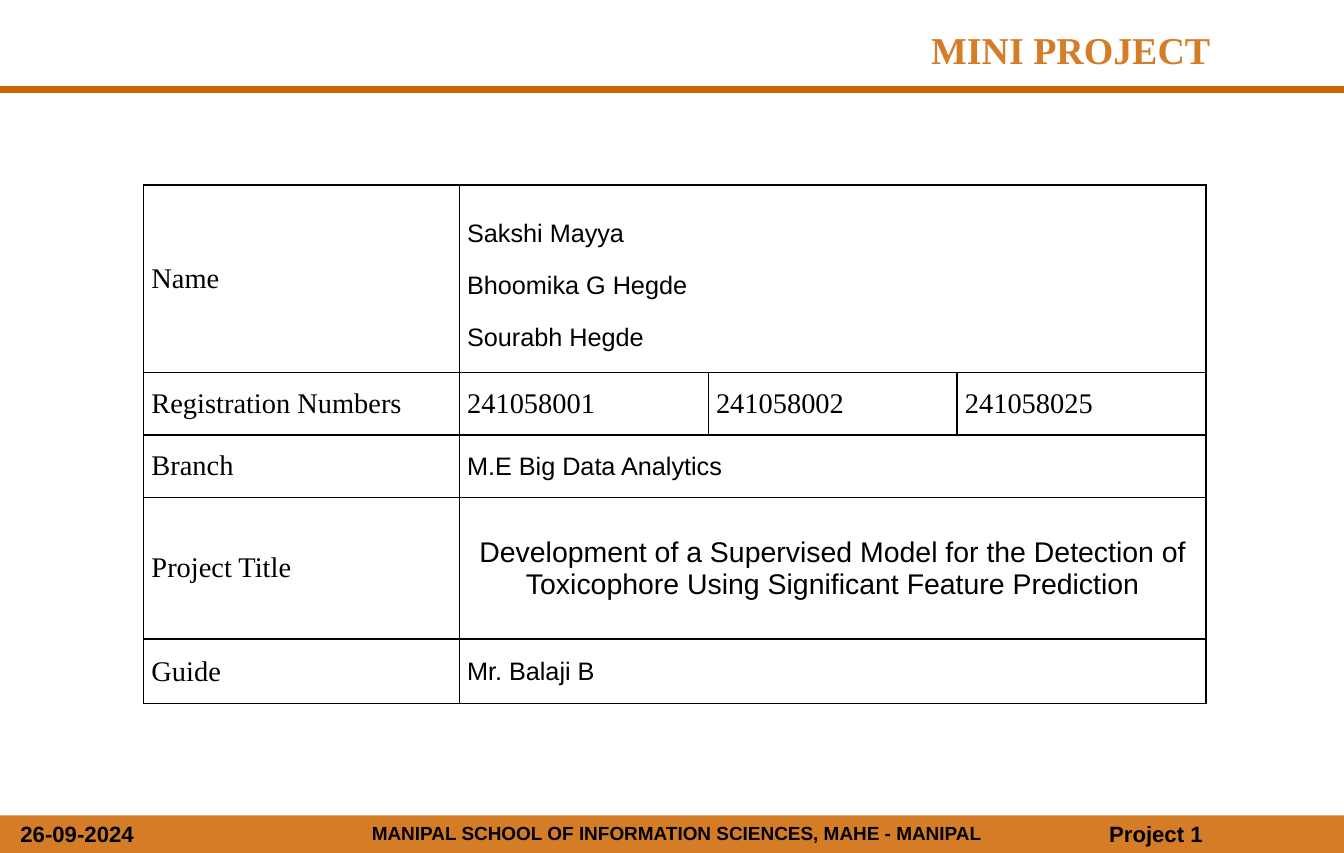
from lxml import etree
from pptx import Presentation
from pptx.dml.color import RGBColor
from pptx.enum.shapes import MSO_CONNECTOR, MSO_SHAPE
from pptx.enum.text import MSO_ANCHOR, MSO_AUTO_SIZE, PP_ALIGN
from pptx.oxml.ns import qn
from pptx.util import Pt

PX = 5715  # EMU, 160 px to the inch
PAGE_WIDTH, PAGE_HEIGHT = 1890, 1200
TITLE_ONLY = 5

BLACK = RGBColor(0x00, 0x00, 0x00)
RULE_ORANGE = RGBColor(0xCC, 0x66, 0x00)
BAND_ORANGE = RGBColor(0xD4, 0x7D, 0x26)
SANS, SERIF = "Arial", "Times New Roman"

LEFT, CENTER, RIGHT = PP_ALIGN.LEFT, PP_ALIGN.CENTER, PP_ALIGN.RIGHT
MIDDLE, TOP = MSO_ANCHOR.MIDDLE, MSO_ANCHOR.TOP
NO_AUTO_SIZE = MSO_AUTO_SIZE.NONE
RECTANGLE, STRAIGHT = MSO_SHAPE.RECTANGLE, MSO_CONNECTOR.STRAIGHT

COLUMN_WIDTHS = [444, 350, 350, 350]
# Row height, label, values
PROJECT_ROWS = [
    (264, "Name", ["Sakshi Mayya\nBhoomika G Hegde\nSourabh Hegde"]),
    (88, "Registration Numbers", ["241058001", "241058002", "241058025"]),
    (88, "Branch", ["M.E Big Data Analytics"]),
    (199, "Project Title", ["Development of a Supervised Model for the Detection of "
                            "Toxicophore Using Significant Feature Prediction"]),
    (91, "Guide", ["Mr. Balaji B"]),
]


def px(*lengths):
    return [length * PX for length in lengths]


def write(frame, text, font, size, color=BLACK, bold=False, align=LEFT):
    frame.text = text
    for para in frame.paragraphs:
        para.alignment = align
        para.font.name = font
        para.font.size = Pt(size)
        para.font.bold = bold
        para.font.color.rgb = color


def set_title(page, text):
    title = page.shapes.title
    title.left, title.top, title.width, title.height = px(438, 30, 1280, 82)
    frame = title.text_frame
    frame.auto_size = NO_AUTO_SIZE
    frame.vertical_anchor = TOP
    write(frame, text, SERIF, 24, BAND_ORANGE, True, RIGHT)


def add_rule(page, y):
    rule = page.shapes.add_connector(STRAIGHT, *px(0, y, PAGE_WIDTH, y))
    rule.line.color.rgb = RULE_ORANGE
    rule.line.width = Pt(4.5)
    etree.SubElement(rule._element.spPr, qn("a:effectLst"))


def add_band(page, top):
    band = page.shapes.add_shape(RECTANGLE, *px(0, top, PAGE_WIDTH, PAGE_HEIGHT - top))
    band.shadow.inherit = False
    band.fill.solid()
    band.fill.fore_color.rgb = BAND_ORANGE
    band.line.fill.background()


def add_footer(page, text, bounds, size, align=LEFT):
    box = page.shapes.add_textbox(*px(*bounds))
    box.text_frame.word_wrap = True
    write(box.text_frame, text, SANS, size, bold=True, align=align)


def frame_cell(cell):
    """Give the cell black borders, no fill and narrow margins."""
    properties = cell._tc.get_or_add_tcPr()
    for side in ("a:lnL", "a:lnR", "a:lnT", "a:lnB"):
        border = etree.SubElement(properties, qn(side), w=str(Pt(1)))
        fill = etree.SubElement(border, qn("a:solidFill"))
        etree.SubElement(fill, qn("a:srgbClr"), val=str(BLACK))
    cell.fill.background()
    cell.vertical_anchor = MIDDLE
    cell.margin_left, cell.margin_right = px(11, 11)
    cell.margin_top = cell.margin_bottom = 0


def write_cell(cell, text, font, size, align=LEFT):
    write(cell.text_frame, text, font, size, align=align)
    paras = cell.text_frame.paragraphs
    for para in paras:
        if align == LEFT:
            para.space_before = para.space_after = Pt(3.1)
        if len(paras) > 1:
            para.line_spacing = 1.5


def add_project_table(page, left, top):
    heights = [height for height, _, _ in PROJECT_ROWS]
    table = page.shapes.add_table(
        len(heights), len(COLUMN_WIDTHS),
        *px(left, top, sum(COLUMN_WIDTHS), sum(heights))).table
    table.first_row = table.horz_banding = False
    for column, width in zip(table.columns, COLUMN_WIDTHS):
        column.width = width * PX
    for cell in table.iter_cells():
        frame_cell(cell)

    for index, (height, label, values) in enumerate(PROJECT_ROWS):
        table.rows[index].height = height * PX
        write_cell(table.cell(index, 0), label, SERIF, 18)
        if len(values) > 1:
            for column, value in enumerate(values, start=1):
                write_cell(table.cell(index, column), value, SERIF, 18)
            continue
        value_cell = table.cell(index, 1)
        value_cell.merge(table.cell(index, len(COLUMN_WIDTHS) - 1))
        if label == "Project Title":
            write_cell(value_cell, values[0], SANS, 18, CENTER)
        else:
            write_cell(value_cell, values[0], SANS, 16)


def main():
    deck = Presentation()
    deck.slide_width, deck.slide_height = px(PAGE_WIDTH, PAGE_HEIGHT)
    page = deck.slides.add_slide(deck.slide_layouts[TITLE_ONLY])

    # Header
    add_rule(page, 126)
    set_title(page, "MINI PROJECT")

    # Footer
    add_band(page, 1147)
    add_footer(page, "MANIPAL SCHOOL OF INFORMATION SCIENCES, MAHE - MANIPAL",
               (456, 1148, 992, 50), 12, CENTER)
    add_footer(page, "26-09-2024", (13, 1146, 213, 54), 14)
    add_footer(page, "Project 1", (1544, 1146, 344, 54), 14)

    # Project details
    add_project_table(page, 202, 260)
    deck.save("out.pptx")


if __name__ == "__main__":
    main()
